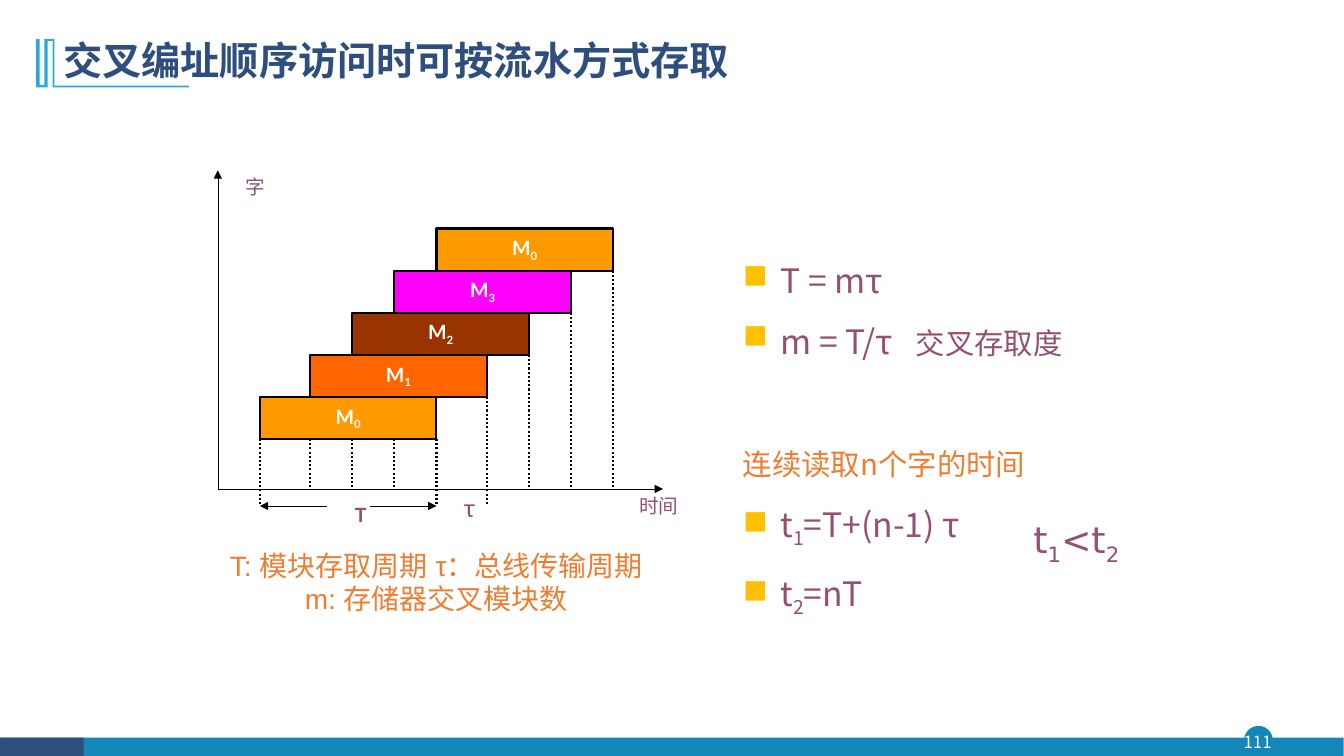
from lxml import etree
from pptx import Presentation
from pptx.dml.color import RGBColor
from pptx.enum.dml import MSO_LINE
from pptx.enum.shapes import MSO_CONNECTOR, MSO_SHAPE
from pptx.enum.text import MSO_ANCHOR, PP_ALIGN
from pptx.oxml.ns import qn
from pptx.util import Cm, Pt

RECT, OVAL = MSO_SHAPE.RECTANGLE, MSO_SHAPE.OVAL
STRAIGHT, DOTTED = MSO_CONNECTOR.STRAIGHT, MSO_LINE.ROUND_DOT
LEFT, CENTER = PP_ALIGN.LEFT, PP_ALIGN.CENTER
TOP, MIDDLE = MSO_ANCHOR.TOP, MSO_ANCHOR.MIDDLE

COLORS = {
    "navy": "2E4E7E", "blue": "1387B7", "cyan": "28A9D6", "white": "FFFFFF",
    "black": "000000", "plum": "954F72", "accent": "ED7D31", "bullet": "FFC000",
    "amber": "FF9900", "orange": "FF6600", "brown": "993300", "magenta": "FF00FF",
}
CJK, LATO, ARIAL, DEJAVU = "Noto Sans CJK SC", "Lato", "Arial", "DejaVu Sans"


def rgb(name):
    return RGBColor.from_string(COLORS[name])


def sub(parent, tag, **attrs):
    return etree.SubElement(parent, qn(tag), attrs)


def write(p, text, size=14, font=CJK, color="plum", bold=False):
    """Add text to a paragraph; the character after each "_" is a subscript."""
    first, *rest = text.split("_")
    pieces = [(first, False)]
    for part in rest:
        pieces += [(part[:1], True), (part[1:], False)]
    for piece, lowered in pieces:
        if not piece:
            continue
        r = p.add_run()
        r.text = piece
        r.font.size, r.font.bold, r.font.name = Pt(size), bold, font
        r.font.color.rgb = rgb(color)
        sub(r.font._element, "a:ea", typeface=font)
        if lowered:
            r.font._element.set("baseline", "-25000")


class Page:
    def __init__(self, prs):
        self.shapes = prs.slides.add_slide(prs.slide_layouts[6]).shapes

    def paint(self, sp, fill, line=None, width=1.5):
        sp.shadow.inherit = False
        sp.fill.solid()
        sp.fill.fore_color.rgb = rgb(fill)
        if line:
            sp.line.color.rgb = rgb(line)
            sp.line.width = Pt(width)
        else:
            sp.line.fill.background()

    def shape(self, kind, box, fill, line=None, width=1.5):
        sp = self.shapes.add_shape(kind, *map(Cm, box))
        self.paint(sp, fill, line, width)
        return sp

    def block(self, box, fill, label):
        sp = self.shape(RECT, box, fill, "black")
        tf = sp.text_frame
        tf.word_wrap, tf.vertical_anchor = False, MIDDLE
        p = tf.paragraphs[0]
        p.alignment = CENTER
        write(p, label, font=LATO, color="white", bold=True)

    def outline(self, points, fill):
        points = [(Cm(x), Cm(y)) for x, y in points]
        builder = self.shapes.build_freeform(*points[0])
        builder.add_line_segments(points[1:], close=True)
        self.paint(builder.convert_to_shape(), fill)

    def frame(self, box, anchor=TOP):
        tf = self.shapes.add_textbox(*map(Cm, box)).text_frame
        tf.word_wrap, tf.vertical_anchor = True, anchor
        return tf

    def text(self, box, lines, anchor=TOP, align=CENTER, spacing=1.0, inset=None, **fmt):
        tf = self.frame(box, anchor)
        if inset is not None:
            tf.margin_left = tf.margin_right = Cm(inset)
            tf.margin_top = tf.margin_bottom = Cm(inset)
        for i, line in enumerate(lines):
            p = tf.add_paragraph() if i else tf.paragraphs[0]
            p.alignment, p.line_spacing = align, spacing
            write(p, line, **fmt)

    def formulas(self, box, items):
        """Each item is (runs, has a bullet, space before in points)."""
        tf = self.frame(box)
        for i, (runs, bulleted, before) in enumerate(items):
            p = tf.add_paragraph() if i else tf.paragraphs[0]
            p.line_spacing = 1.5
            if before:
                p.space_before = Pt(before)
            pPr = p._p.get_or_add_pPr()
            pPr.set("marL", str(Cm(0.95)))
            pPr.set("indent", str(Cm(-0.95)))
            if bulleted:
                sub(sub(pPr, "a:buClr"), "a:srgbClr", val=COLORS["bullet"])
                sub(pPr, "a:buChar", char="■")
            else:
                sub(pPr, "a:buNone")
            sub(sub(pPr, "a:tabLst"), "a:tab", pos=str(Cm(4.36)), algn="l")
            for text, size, color in runs:
                write(p, text, size=size, color=color)

    def line(self, start, end, width=0.25, dash=None, arrow=True):
        cx = self.shapes.add_connector(STRAIGHT, *map(Cm, start + end))
        cx.line.color.rgb = rgb("black")
        cx.line.width = Pt(width)
        if dash:
            cx.line.dash_style = dash
        if arrow:
            sub(cx.line._get_or_add_ln(), "a:tailEnd", type="triangle")
        sub(cx._element.spPr, "a:effectLst")

    def drop(self, x, top, bottom):
        self.line((x, top), (x, bottom), 1.5, DOTTED, arrow=False)


def draw_frame(page):
    page.shape(OVAL, (31.37, 18.31, 0.69, 0.69), "blue", "blue", 1)
    page.shape(RECT, (0.03, 18.59, 33.83, 0.48), "blue")
    page.shape(RECT, (0, 18.59, 2.11, 0.48), "navy")
    page.text((31.29, 18.31, 0.81, 0.79), ["111"], MIDDLE, inset=0,
              size=12, color="white")
    page.outline([(1.37, 0.99), (1.37, 2.16), (4.76, 2.16), (4.76, 2.2),
                  (1.33, 2.2), (1.33, 1.03), (1.2, 1.03), (1.2, 2.2),
                  (0.91, 2.2), (0.91, 0.99), (1, 0.99), (1, 2.14),
                  (1.12, 2.14), (1.12, 0.99)], "cyan")
    page.text((1.35, 0.71, 29.21, 1.73), ["交叉编址顺序访问时可按流水方式存取"],
              MIDDLE, LEFT, 0.9, size=28, color="navy", bold=True)


def draw_timing(page):
    step, width, top = 1.06, 4.45, 10.0
    axis_x, axis_y, span_y = 5.49, 12.32, 12.75
    starts = [6.55] + [7.82 + step * i for i in range(4)]
    blocks = [("M_0", "amber"), ("M_1", "orange"), ("M_2", "brown"),
              ("M_3", "magenta"), ("M_0", "amber")]
    for i, (x, (label, fill)) in enumerate(zip(starts, blocks)):
        page.block((x, top - step * i, width, step), fill, label)

    page.line((axis_x, axis_y), (16.71, axis_y))
    page.line((axis_x, axis_y), (axis_x, 4.29))
    for i, x in enumerate(starts):
        if i < 4:
            page.drop(x, top + step, axis_y if i else span_y)
        page.drop(x + width, top + step * (1 - i), axis_y if i > 1 else span_y)

    cycle_start, cycle_end = starts[0], starts[0] + width
    page.line((cycle_start + 1.68, span_y), (cycle_start, span_y))
    page.line((cycle_end - 1.68, span_y), (cycle_end, span_y))
    page.text((8.46, 12.55, 1.27, 0.84), ["T"], font=LATO, bold=True)
    page.text((11.2, 12.27, 1.27, 1.02), ["τ"], font=LATO, size=18)
    page.text((15.65, 12.32, 1.9, 0.84), ["时间"], font=LATO)
    page.text((axis_x, 4.29, 1.9, 0.84), ["字"], font=LATO)
    page.text((3.48, 13.69, 15.04, 1.96),
              ["T: 模块存取周期 τ：总线传输周期", "m: 存储器交叉模块数"],
              size=20, font=ARIAL, color="accent")


def draw_formulas(page):
    page.formulas((18.47, 5.92, 12.93, 9.32), [
        ([("T = mτ", 24, "plum")], True, 0),
        ([("m = T/τ\t", 24, "plum"), ("交叉存取度", 21, "plum")], True, 0),
        ([("连续读取n个字的时间", 21, "accent")], False, 48),
        ([("t_1=T+(n-1) τ", 24, "plum")], True, 0),
        ([("t_2=nT", 24, "plum")], True, 0),
    ])
    page.text((23.67, 13.03, 6.91, 1.47), ["t_1<t_2"], spacing=0.8,
              size=26, font=DEJAVU)


def main():
    prs = Presentation()
    prs.slide_width, prs.slide_height = Cm(33.87), Cm(19.05)
    page = Page(prs)
    draw_frame(page)
    draw_timing(page)
    draw_formulas(page)
    prs.save("out.pptx")


if __name__ == "__main__":
    main()
